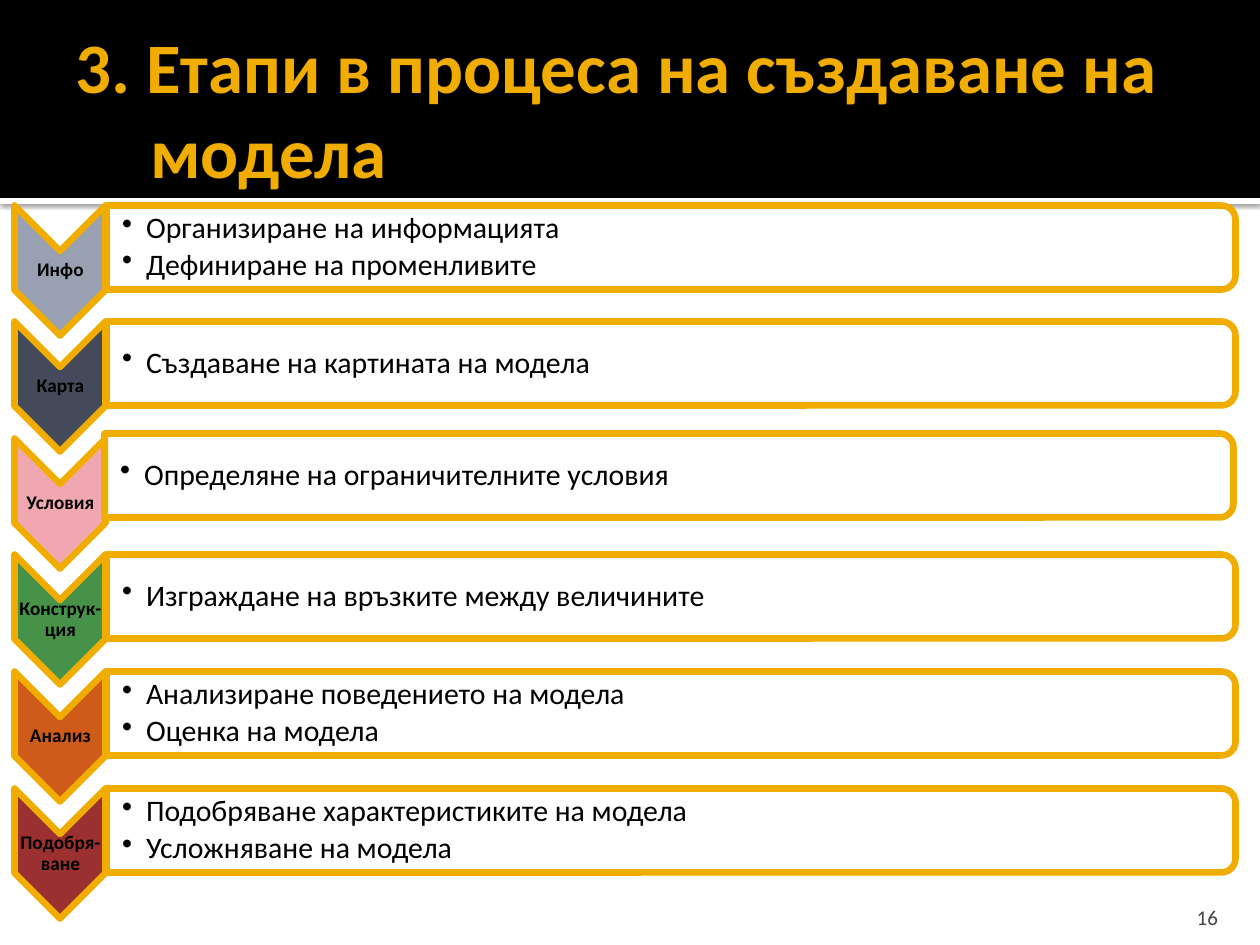
from lxml import etree
from pptx import Presentation
from pptx import util as u
from pptx.dml.color import RGBColor
from pptx.enum import shapes, text
from pptx.oxml import ns

PX = 914400 / 126
AMBER = RGBColor(0xF0, 0xAD, 0x00)
BLACK = RGBColor(0, 0, 0)
WHITE = RGBColor(0xFF, 0xFF, 0xFF)
GREY = RGBColor(0x45, 0x45, 0x45)
ROW_TOP = 205
BAR_H = 84

STAGES = [
    ("Инфо", RGBColor(0x98, 0xA0, 0xB2),
     ["Организиране на информацията", "Дефиниране на променливите"]),
    ("Карта", RGBColor(0x44, 0x4A, 0x5A), ["Създаване на картината на модела"]),
    ("Условия", RGBColor(0xF0, 0xA7, 0xB1), ["Определяне на ограничителните условия"]),
    ("Конструк-ция", RGBColor(0x47, 0x92, 0x49), ["Изграждане на връзките между величините"]),
    ("Анализ", RGBColor(0xCF, 0x5B, 0x1B),
     ["Анализиране поведението на модела", "Оценка на модела"]),
    ("Подобря-ване", RGBColor(0x9A, 0x31, 0x30),
     ["Подобряване характеристиките на модела", "Усложняване на модела"]),
]

prs = Presentation()
prs.slide_width, prs.slide_height = u.Inches(10), u.Inches(7.5)
s = prs.slides.add_slide(prs.slide_layouts[5])


def add_box(kind, box, fill, line=None):
    sp = s.shapes.add_shape(kind, *[round(v * PX) for v in box])
    sp.shadow.inherit = False
    sp.fill.solid()
    sp.fill.fore_color.rgb = fill
    if line is None:
        sp.line.fill.background()
    else:
        sp.line.color.rgb = line
        sp.line.width = u.Pt(3.78)
    return sp


def write(sp, box, lines, size, color, bold=False, insets=(1, 1, 1, 1),
          anchor=text.MSO_ANCHOR.MIDDLE, align=text.PP_ALIGN.LEFT):
    """Place a text shape, fill it with one paragraph per line and return its paragraphs."""
    sp.left, sp.top, sp.width, sp.height = [round(v * PX) for v in box]
    tf = sp.text_frame
    tf.word_wrap = True
    tf.auto_size = text.MSO_AUTO_SIZE.NONE
    tf.vertical_anchor = anchor
    tf.margin_left, tf.margin_top, tf.margin_right, tf.margin_bottom = [
        round(v * PX) for v in insets]
    tf.text = "\n".join(lines)
    for p in tf.paragraphs:
        p.alignment = align
        for r in p.runs:
            r.font.name, r.font.size, r.font.bold = "Calibri", u.Pt(size), bold
            r.font.color.rgb = color
    return tf.paragraphs


# Header band, kept behind the title
title = s.shapes.title
strip = add_box(shapes.MSO_SHAPE.RECTANGLE, (0, 198, 1260, 6), WHITE)
effects = strip._element.spPr.find(ns.qn("a:effectLst"))
shadow = etree.SubElement(effects, ns.qn("a:outerShdw"), blurRad=str(u.Pt(2.5)),
                          dist=str(u.Pt(0.8)), dir="5400000", rotWithShape="0")
shade = etree.SubElement(shadow, ns.qn("a:srgbClr"), val="000000")
etree.SubElement(shade, ns.qn("a:alpha"), val="60000")
band = add_box(shapes.MSO_SHAPE.RECTANGLE, (0, 0, 1260, 198), BLACK)
for sp in (strip, band):
    title._element.addprevious(sp._element)

p = write(title, (63, 21, 1134, 173), ["3. Етапи в процеса на създаване на модела"],
          40.5, AMBER, True, (13, 6, 6, 6))[0]
pPr = p._p.get_or_add_pPr()
pPr.set("marL", str(round(74 * PX)))
pPr.set("indent", str(round(-74 * PX)))

# One chevron and one bar per stage; both shapes are turned a quarter clockwise
for i, (name, color, points) in enumerate(STAGES):
    top = ROW_TOP + 583 * i // 5
    chevron = add_box(shapes.MSO_SHAPE.CHEVRON, (-5, top + 20, 130, 91), color, AMBER)
    chevron.rotation = 90
    p = write(s.shapes.add_textbox(0, 0, 0, 0), (15, top + 46, 91, 39), [name], 11, BLACK,
              True, align=text.PP_ALIGN.CENTER)[0]
    p.line_spacing = 0.9

    dx, dy = (-2, -5) if name == "Условия" else (0, 0)
    bar = add_box(shapes.MSO_SHAPE.ROUND_2_SAME_RECTANGLE,
                  (629 + dx, top - 522 + dy, BAR_H, 1129), WHITE, AMBER)
    bar.rotation = 90
    alpha_parent = bar._element.spPr.find(ns.qn("a:solidFill"))[0]
    etree.SubElement(alpha_parent, ns.qn("a:alpha"), val="90000")
    for p in write(s.shapes.add_textbox(0, 0, 0, 0), (106 + dx, top + 4 + dy, 1125, 77),
                   points, 17, BLACK, insets=(16, 1, 1, 1)):
        pPr = p._p.get_or_add_pPr()
        pPr.set("marL", str(round(24 * PX)))
        pPr.set("indent", str(round(-24 * PX)))
        etree.SubElement(pPr, ns.qn("a:buChar"), char="•")
        p.level = 1
        p.line_spacing = 0.9
        p.space_after = u.Pt(2.5)

write(s.shapes.add_textbox(0, 0, 0, 0), (1130, 892, 101, 38), ["16"], 12, GREY,
      insets=(13, 6, 13, 0), anchor=text.MSO_ANCHOR.BOTTOM, align=text.PP_ALIGN.RIGHT)

prs.save("out.pptx")
